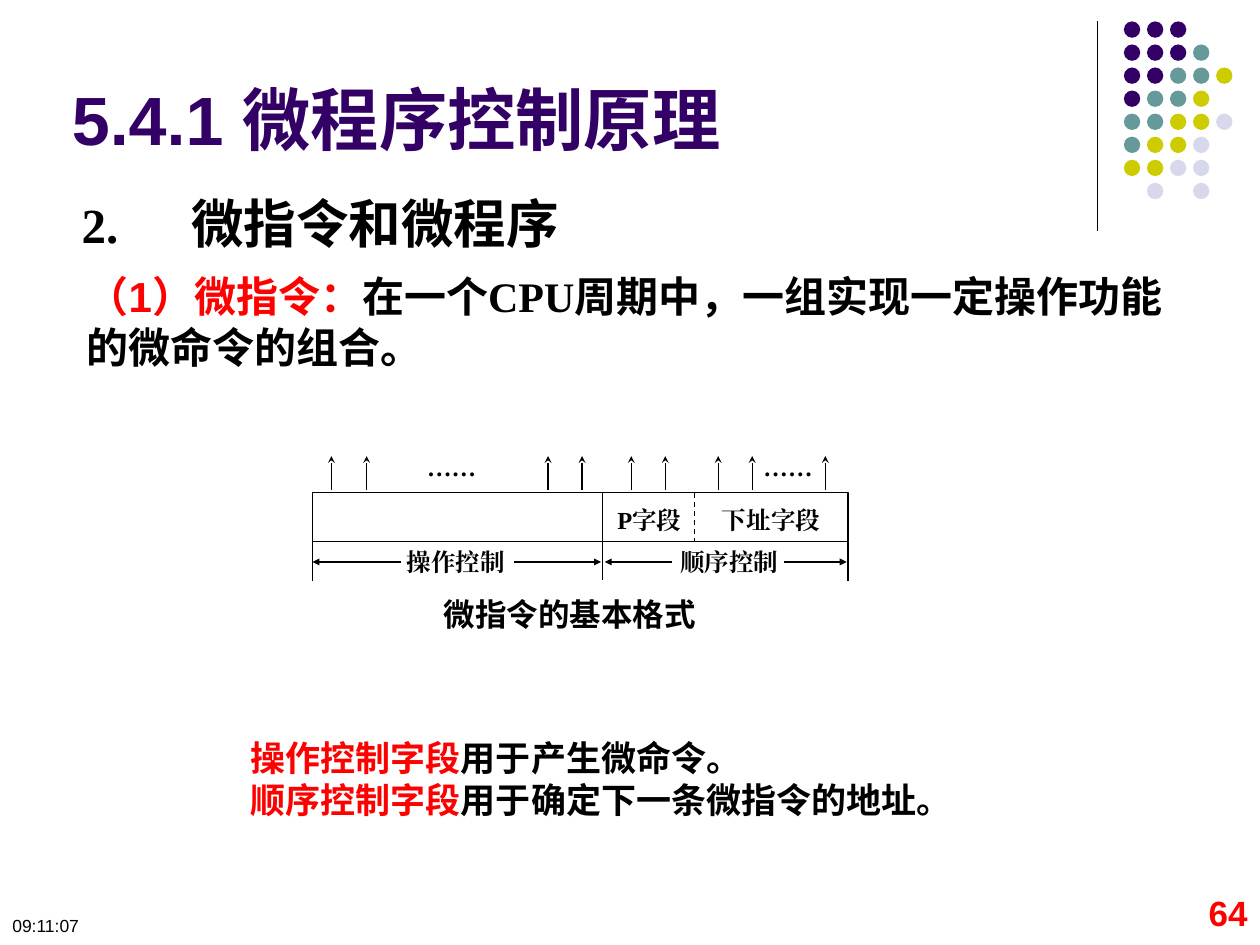
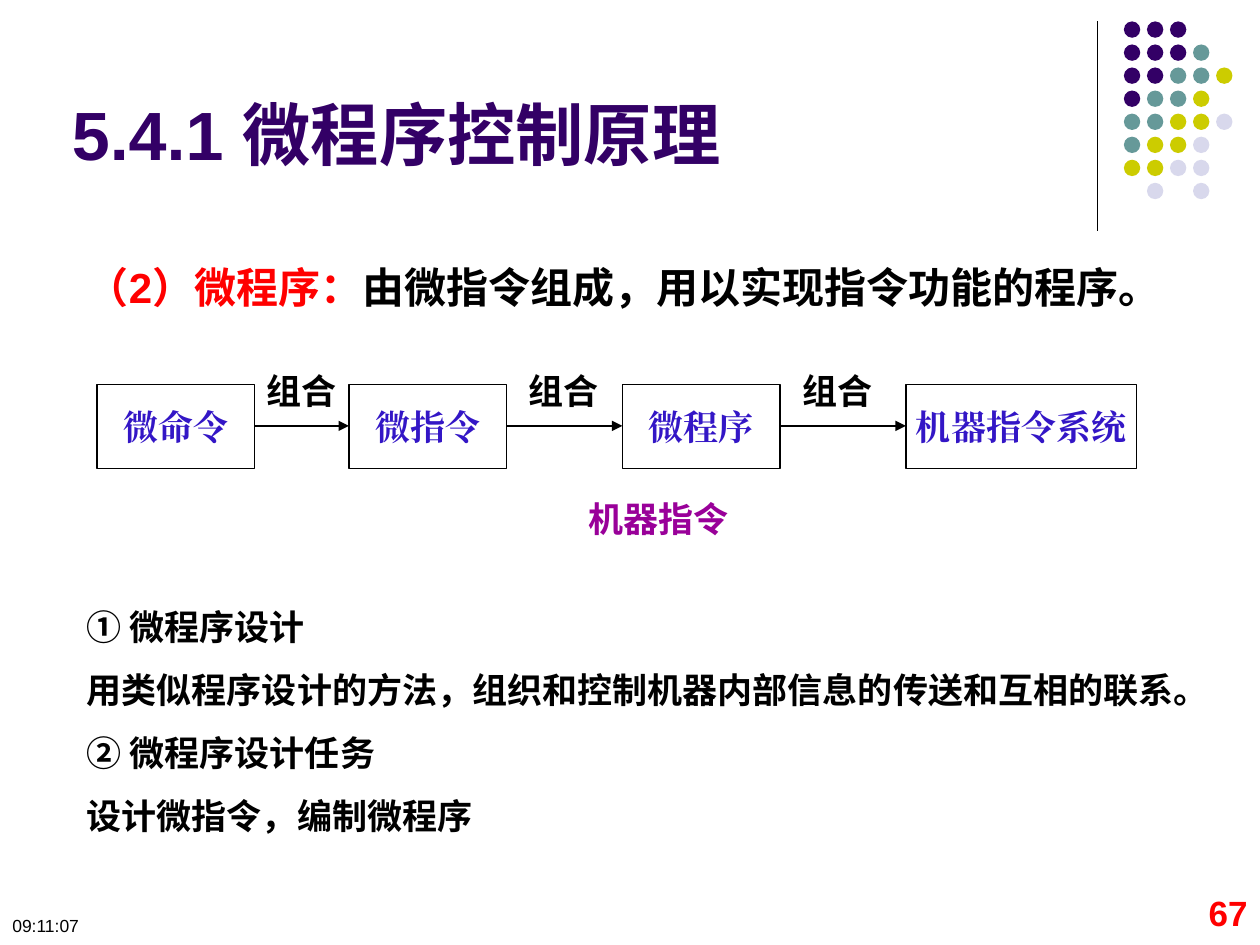
import pptx
import pptx.util
import pptx.dml.color
import pptx.enum.dml
import pptx.enum.shapes
import pptx.enum.text
import pptx.oxml
import pptx.oxml.ns

Inches = pptx.util.Inches
RGBColor = pptx.dml.color.RGBColor
ALIGN = pptx.enum.text.PP_ALIGN
ANCHOR = pptx.enum.text.MSO_ANCHOR
SHAPE = pptx.enum.shapes.MSO_SHAPE

BLACK = RGBColor(0x00, 0x00, 0x00)
WHITE = RGBColor(0xFF, 0xFF, 0xFF)
RED = RGBColor(0xFF, 0x00, 0x00)
PURPLE = RGBColor(0x33, 0x00, 0x66)
TEAL = RGBColor(0x66, 0x99, 0x99)
OLIVE = RGBColor(0xCC, 0xCC, 0x00)
LAVENDER = RGBColor(0xD8, 0xD8, 0xEC)
BLUE = RGBColor(0x33, 0x16, 0xC6)
MAGENTA = RGBColor(0x99, 0x00, 0x99)

SANS = "Arial"
SERIF = "Times New Roman"
CJK = "Noto Sans CJK SC"

DOT_ROWS = ["PPP", "PPPT", "PPTTY", "PTTY", "TTYYL", "TYYL", "YYLL", " L L"]
DOT_COLORS = {"P": PURPLE, "T": TEAL, "Y": OLIVE, "L": LAVENDER}


class Lecture:
    title_text = "5.4.1 微程序控制原理"
    clock_text = "09:11:07"

    def __init__(self):
        self.deck = pptx.Presentation()
        self.deck.slide_width = Inches(10)
        self.deck.slide_height = Inches(7.5)
        self.page = None

    def start_page(self, number, title_top, title_anchor):
        self.page = self.deck.slides.add_slide(self.deck.slide_layouts[5])
        self.line(8.71, 0.17, 8.71, 1.83)
        self.dots()
        title = self.page.shapes.title
        place = {"left": 0.47, "top": title_top, "width": 5.68, "height": 0.87}
        for name, value in place.items():
            setattr(title, name, Inches(value))
        self.fill_text(title.text_frame, [[(self.title_text, {"color": PURPLE})]],
                       size=39, anchor=title_anchor)
        self.text(0, 7.21, 2.33, 0.29, [[(self.clock_text, {"bold": False})]], size=10)
        self.text(9.02, 7.03, 0.98, 0.47, [[(str(number), {"color": RED})]],
                  align=ALIGN.RIGHT)

    def dots(self):
        for row, marks in enumerate(DOT_ROWS):
            for column, mark in enumerate(marks):
                if mark in DOT_COLORS:
                    self.shape(SHAPE.OVAL, 8.92 + 0.183 * column, 0.17 + 0.183 * row,
                               0.13, 0.13, DOT_COLORS[mark], outlined=False)

    def shape(self, kind, left, top, width, height, fill, outlined=True):
        shape = self.page.shapes.add_shape(
            kind, Inches(left), Inches(top), Inches(width), Inches(height))
        shape.shadow.inherit = False
        shape.fill.solid()
        shape.fill.fore_color.rgb = fill
        if outlined:
            self.style_line(shape.line)
        else:
            shape.line.fill.background()
        return shape

    def style_line(self, line):
        line.color.rgb = BLACK
        line.width = pptx.util.Pt(0.75)

    def line(self, x1, y1, x2, y2, head=None, head_size="med", dashed=False):
        connector = self.page.shapes.add_connector(
            pptx.enum.shapes.MSO_CONNECTOR.STRAIGHT,
            Inches(x1), Inches(y1), Inches(x2), Inches(y2))
        self.style_line(connector.line)
        if dashed:
            connector.line.dash_style = pptx.enum.dml.MSO_LINE.DASH
        if head:
            tail = self.add_element(connector.line._get_or_add_ln(), "a:tailEnd")
            for name, value in {"type": head, "w": head_size, "len": head_size}.items():
                tail.set(name, value)
        self.add_element(connector._element.spPr, "a:effectLst")

    def add_element(self, parent, tag):
        element = pptx.oxml.parse_xml(f"<{tag} {pptx.oxml.ns.nsdecls('a')}/>")
        parent.append(element)
        return element

    def text(self, left, top, width, height, paragraphs, **style):
        box = self.page.shapes.add_textbox(
            Inches(left), Inches(top), Inches(width), Inches(height))
        self.fill_text(box.text_frame, paragraphs, **style)

    def label(self, left, top, width, height, words, **style):
        self.text(left, top, width, height, [[(words, {})]],
                  **{"size": 14, "font": SERIF, "inset": 0, "wrap": False, **style})

    def fill_text(self, frame, paragraphs, size=20, font=SANS, align=ALIGN.LEFT,
                  anchor=ANCHOR.TOP, wrap=True, inset=None, spacing=None, tab=None):
        settings = {"auto_size": pptx.enum.text.MSO_AUTO_SIZE.NONE,
                    "word_wrap": wrap, "vertical_anchor": anchor}
        if inset is not None:
            for side in ("left", "top", "right", "bottom"):
                settings[f"margin_{side}"] = Inches(inset)
        for name, value in settings.items():
            setattr(frame, name, value)
        for index, spans in enumerate(paragraphs):
            para = frame.add_paragraph() if index else frame.paragraphs[0]
            para.alignment = align
            if spacing:
                para.line_spacing = spacing
            if tab:
                stops = self.add_element(para._p.get_or_add_pPr(), "a:tabLst")
                stop = self.add_element(stops, "a:tab")
                stop.set("pos", str(Inches(tab)))
                stop.set("algn", "l")
            for words, changes in spans:
                self.span(para, words, {"size": size, "name": font, "bold": True,
                                        "color": BLACK, **changes})

    def span(self, para, words, look):
        span = para.add_run()
        span.text = words
        values = {"size": pptx.util.Pt(look["size"]), "bold": look["bold"],
                  "name": look["name"]}
        for name, value in values.items():
            setattr(span.font, name, value)
        span.font.color.rgb = look["color"]
        east_asian = self.add_element(span._r.get_or_add_rPr(), "a:ea")
        east_asian.set("typeface", look["name"])

    def node(self, left, width, words):
        box = self.shape(SHAPE.RECTANGLE, left, 3.05, width, 0.67, WHITE)
        self.fill_text(box.text_frame, [[(words, {"color": BLUE})]], font=SERIF,
                       align=ALIGN.CENTER, anchor=ANCHOR.MIDDLE, wrap=False)


def microinstruction_page(lecture):
    lecture.start_page(64, 0.44, ANCHOR.BOTTOM)
    lecture.text(0.55, 1.47, 4.25, 0.63, [[
        ("2.\t", {"name": SERIF, "size": 28}), ("微指令和微程序", {})]],
        size=30, font=CJK, tab=0.87)
    lecture.text(0.59, 2.1, 8.74, 0.91, [[
        ("（1）微指令：", {"color": RED}), ("在一个", {}), ("CPU", {"name": SERIF}),
        ("周期中，一组实现一定操作功能的微命令的组合。", {})]], size=24)

    left, divider, right, top, bottom = 2.48, 4.78, 6.73, 3.91, 4.3
    lecture.shape(SHAPE.RECTANGLE, left, top, right - left, bottom - top, WHITE)
    lecture.line(5.51, top, 5.51, bottom, dashed=True)
    lecture.line(divider, top, divider, 4.6)
    for edge in (left, right):
        lecture.line(edge, bottom, edge, 4.61)
    for start, end in ((4.08, 4.77), (3.18, left), (6.22, 6.72), (5.33, 4.8)):
        lecture.line(start, 4.46, end, 4.46, head="triangle", head_size="sm")
    for x in (2.63, 2.91, 4.35, 4.62, 5.01, 5.28, 5.7, 5.97, 6.55):
        lecture.line(x, 3.89, x, 3.62, head="stealth", head_size="sm")
    for x, y, width, words in (
            (4.9, 4.01, 0.57, "P字段"), (5.73, 4.01, 0.81, "下址字段"),
            (3.23, 4.34, 0.86, "操作控制"), (5.4, 4.34, 0.86, "顺序控制"),
            (6.06, 3.59, 0.44, "……"), (3.39, 3.59, 0.42, "……")):
        lecture.label(x, y, width, 0.35, words)
    lecture.label(3.52, 4.72, 2.21, 0.37, "微指令的基本格式", size=18, font=CJK)

    lecture.text(1.89, 5.8, 5.87, 0.77, [
        [("操作控制字段", {"color": RED}), ("用于产生微命令。", {})],
        [("顺序控制字段", {"color": RED}), ("用于确定下一条微指令的地址。", {})]])


def microprogram_page(lecture):
    lecture.start_page(67, 0.68, ANCHOR.TOP)
    lecture.text(0.59, 2.03, 8.58, 0.5, [[
        ("（2）微程序：", {"color": RED}),
        ("由微指令组成，用以实现指令功能的程序。", {})]], size=24)

    nodes = [(0.77, 1.25, "微命令"), (2.77, 1.25, "微指令"),
             (4.94, 1.25, "微程序"), (7.19, 1.83, "机器指令系统")]
    for node in nodes:
        lecture.node(*node)
    for (left, width, _), (target, _, _) in zip(nodes, nodes[1:]):
        lecture.line(left + width, 3.38, target, 3.38, head="triangle")
    for x in (2.02, 4.1, 6.27):
        lecture.text(x, 2.88, 0.83, 0.43, [[("组合", {})]])
    lecture.text(4.57, 3.9, 1.45, 0.43, [[("机器指令", {"color": MAGENTA})]])

    lecture.text(0.59, 4.59, 9.06, 2.12, [
        [("① ", {"name": CJK}), ("微程序设计", {})],
        [("用类似程序设计的方法，组织和控制机器内部信息的传送和互相的联系。", {})],
        [("② ", {"name": CJK}), ("微程序设计任务", {})],
        [("设计微指令，编制微程序", {})]], spacing=1.5)


def main():
    lecture = Lecture()
    microinstruction_page(lecture)
    microprogram_page(lecture)
    lecture.deck.save("out.pptx")


if __name__ == "__main__":
    main()
